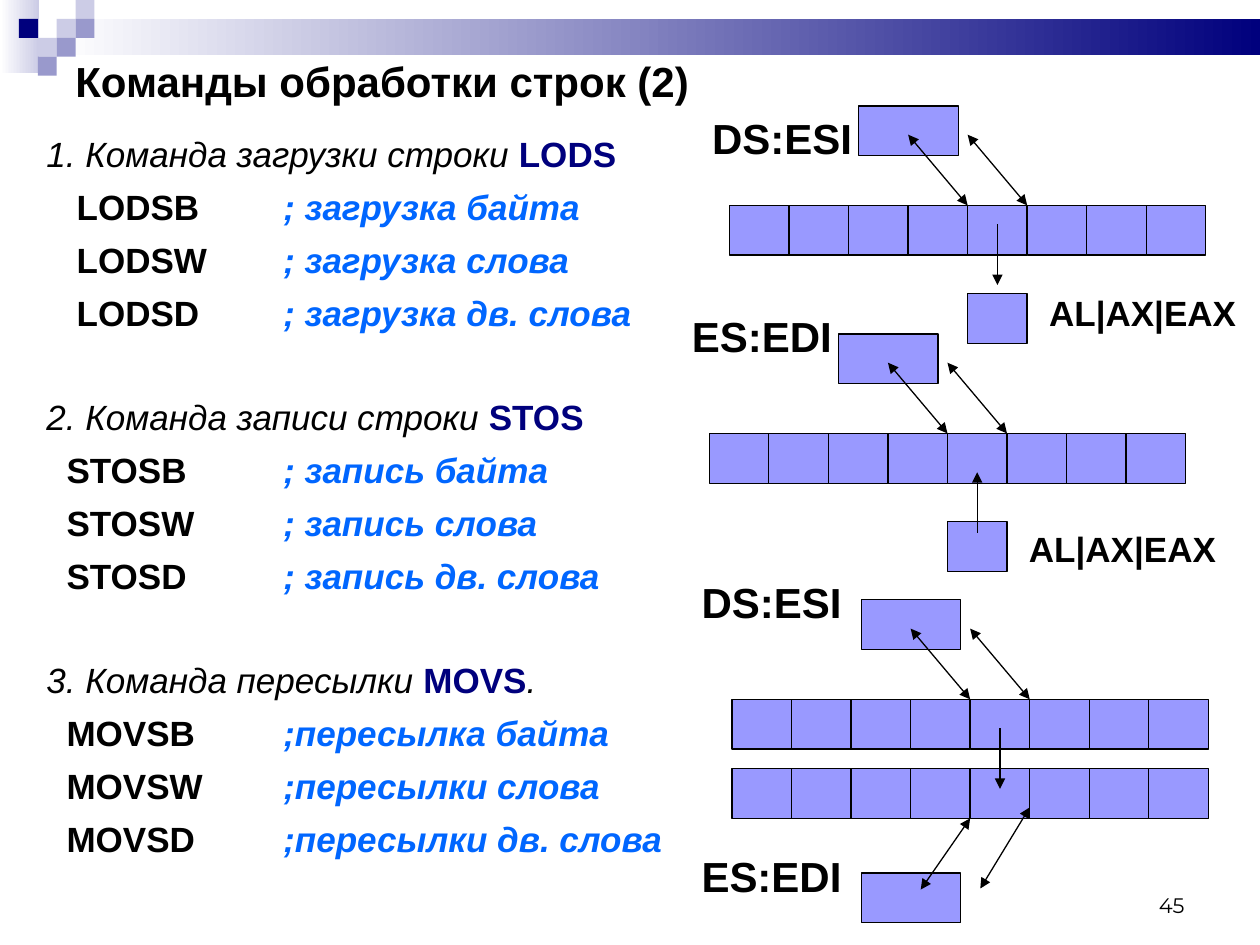
import pptx
import pptx.dml.color
import pptx.enum.shapes
import pptx.enum.text
import pptx.oxml.ns
import pptx.util
from lxml import etree

Inches, Pt = pptx.util.Inches, pptx.util.Pt
ANCHOR = pptx.enum.text.MSO_ANCHOR
ALIGN = pptx.enum.text.PP_ALIGN
BLACK, NAVY, BLUE, CELL = "000000", "00007D", "0066FF", "9999FF"
COLUMN, ROW = 0.4725, 0.395  # one memory cell
POINTER_COLUMN = 2.17

SECTIONS = [
    ("1. Команда загрузки строки ", "LODS", "", 0.24, [
        ("LODSB", "; загрузка байта"),
        ("LODSW", "; загрузка слова"),
        ("LODSD", "; загрузка дв. слова")]),
    ("2. Команда записи строки ", "STOS", "", 0.16, [
        ("STOSB", "; запись байта"),
        ("STOSW", "; запись слова"),
        ("STOSD", "; запись дв. слова")]),
    ("3. Команда пересылки ", "MOVS", ".", 0.16, [
        ("MOVSB", ";пересылка байта"),
        ("МОVSW", ";пересылки слова"),
        ("МОVSD", ";пересылки дв. слова")]),
]


def color(value):
    return pptx.dml.color.RGBColor.from_string(value)


def add_rectangle(slide, left, top, width, height, fill, line=None):
    """A pair of colours as fill gives a gradient from left to right."""
    shape = slide.shapes.add_shape(
        pptx.enum.shapes.MSO_SHAPE.RECTANGLE,
        Inches(left), Inches(top), Inches(width), Inches(height))
    shape.shadow.inherit = False
    if isinstance(fill, tuple):
        shape.fill.gradient()
        shape.fill.gradient_angle = 0
        for stop, value in zip(shape.fill.gradient_stops, fill):
            stop.color.rgb = color(value)
    else:
        shape.fill.solid()
        shape.fill.fore_color.rgb = color(fill)
    if line:
        shape.line.color.rgb = color(line)
        shape.line.width = Pt(0.75)
    else:
        shape.line.fill.background()


def add_arrow(slide, start, end, double=False):
    connector = slide.shapes.add_connector(
        pptx.enum.shapes.MSO_CONNECTOR.STRAIGHT,
        *(Inches(value) for value in (*start, *end)))
    connector.line.color.rgb = color(BLACK)
    connector.line.width = Pt(0.75)
    line = connector.line._get_or_add_ln()
    for tag in ("a:headEnd", "a:tailEnd") if double else ("a:tailEnd",):
        etree.SubElement(line, pptx.oxml.ns.qn(tag), type="triangle")
    etree.SubElement(connector._element.spPr, pptx.oxml.ns.qn("a:effectLst"))


def add_frame(slide, left, top, width, height, anchor=ANCHOR.TOP):
    box = slide.shapes.add_textbox(
        Inches(left), Inches(top), Inches(width), Inches(height))
    box.text_frame.word_wrap = True
    box.text_frame.vertical_anchor = anchor
    return box.text_frame


def add_run(paragraph, text, size, value=BLACK, bold=True, italic=False, font="Arial"):
    run = paragraph.add_run()
    run.text = text
    run.font.name, run.font.size = font, Pt(size)
    run.font.bold, run.font.italic = bold, italic
    run.font.color.rgb = color(value)


def add_tabs(paragraph, positions):
    tabs = etree.SubElement(
        paragraph._p.get_or_add_pPr(), pptx.oxml.ns.qn("a:tabLst"))
    for position in positions:
        etree.SubElement(tabs, pptx.oxml.ns.qn("a:tab"),
                         pos=str(Inches(position)), algn="l")


def add_header(slide, width):
    square = 0.15
    add_rectangle(slide, 0, 0, 0.31, 0.58, ("FFFFFF", "CCCCE6"))
    add_rectangle(slide, 0.45, square, width - 0.45, 0.29, ("FFFFFF", NAVY))
    for column, row, fill in [
            (3, 1, "CCCCE6"), (4, 0, "CCCCE6"), (4, 1, "9999CC"),
            (2, 2, "CCCCE6"), (1, 1, NAVY), (3, 2, "9999CC"), (2, 3, "9999CC")]:
        add_rectangle(slide, column * square, row * square, square, square, fill)


def add_commands(slide, left, top, width, height):
    frame = add_frame(slide, left, top, width, height)
    paragraph = frame.paragraphs[0]
    for number, (heading, command, ending, indent, lines) in enumerate(SECTIONS):
        if number:
            paragraph = frame.add_paragraph()
            paragraph.space_before = Pt(35.5)
        add_run(paragraph, heading, 20, bold=False, italic=True)
        add_run(paragraph, command, 20, NAVY)
        if ending:
            add_run(paragraph, ending, 20, bold=False, italic=True)
        for mnemonic, comment in lines:
            paragraph = frame.add_paragraph()
            paragraph.space_before = Pt(6.3)
            add_tabs(paragraph, (indent, 1.88))
            add_run(paragraph, f"\t{mnemonic}\t", 20)
            add_run(paragraph, comment, 20, BLUE, italic=True)


class Strip:
    """A row of eight memory cells; its parts are placed in cell units."""

    def __init__(self, slide, left, top):
        self.slide, self.left, self.top = slide, left, top
        for column in range(8):
            self.box(column, 0)

    def point(self, column, row):
        return self.left + column * COLUMN, self.top + row * ROW

    def box(self, column, row, width=COLUMN):
        add_rectangle(self.slide, *self.point(column, row), width, ROW, CELL, BLACK)

    def arrow(self, start, end, double=False):
        add_arrow(self.slide, self.point(*start), self.point(*end), double)

    def label(self, text, column, row, size=24, width=1.44):
        frame = add_frame(self.slide, *self.point(column, row), width, size / 48)
        add_run(frame.paragraphs[0], text, size)

    def pointer_above(self, text, column, row):
        self.box(POINTER_COLUMN, -2, 2 * ROW)
        for start in (3, 4):
            self.arrow((start, -1.42), (start + 1, 0), double=True)
        self.label(text, column, row)

    def pointer_below(self, text, column, row):
        self.box(POINTER_COLUMN, 2.1, 2 * ROW)
        self.arrow((3.17, 2.43), (4, 1), double=True)
        self.arrow((4.17, 2.41), (5, 0.78), double=True)
        self.label(text, column, row)

    def register(self, label_row, start, end):
        self.box(4, 1.77)
        self.arrow((4.5, start), (4.5, end))
        self.label("AL|AX|EAX", 5.16, label_row, size=20, width=1.77)


def add_load(slide, left, top):
    strip = Strip(slide, left, top)
    strip.pointer_above("DS:ESI", -0.5, -2)
    strip.register(1.6, 0.38, 1.6)


def add_store(slide, left, top):
    strip = Strip(slide, left, top)
    strip.pointer_above("ES:EDI", -0.5, -2.6)
    strip.register(1.77, 2, 0.78)


def add_move(slide, left, top):
    source = Strip(slide, left, top)
    source.pointer_above("DS:ESI", -0.72, -2.6)
    target = Strip(slide, left, top + 0.55)
    target.pointer_below("ES:EDI", -0.72, 1.52)
    source.arrow((4.5, 0.58), (4.5, 1.8))


def main():
    presentation = pptx.Presentation()
    presentation.slide_width, presentation.slide_height = Inches(10), Inches(7.5)
    slide = presentation.slides.add_slide(presentation.slide_layouts[6])
    add_header(slide, 10)
    title = add_frame(slide, 0.5, 0.39, 9, 0.5, ANCHOR.MIDDLE)
    add_run(title.paragraphs[0], "Команды обработки строк (2)", 24)
    add_commands(slide, 0.27, 1, 5.43, 6.5)
    add_load(slide, 5.79, 1.63)
    add_store(slide, 5.63, 3.44)
    add_move(slide, 5.81, 5.55)
    number = add_frame(slide, 7.17, 6.83, 2.33, 0.5, ANCHOR.BOTTOM)
    number.paragraphs[0].alignment = ALIGN.RIGHT
    add_run(number.paragraphs[0], "45", 12, bold=False, font="Montserrat")
    presentation.save("out.pptx")


if __name__ == "__main__":
    main()
